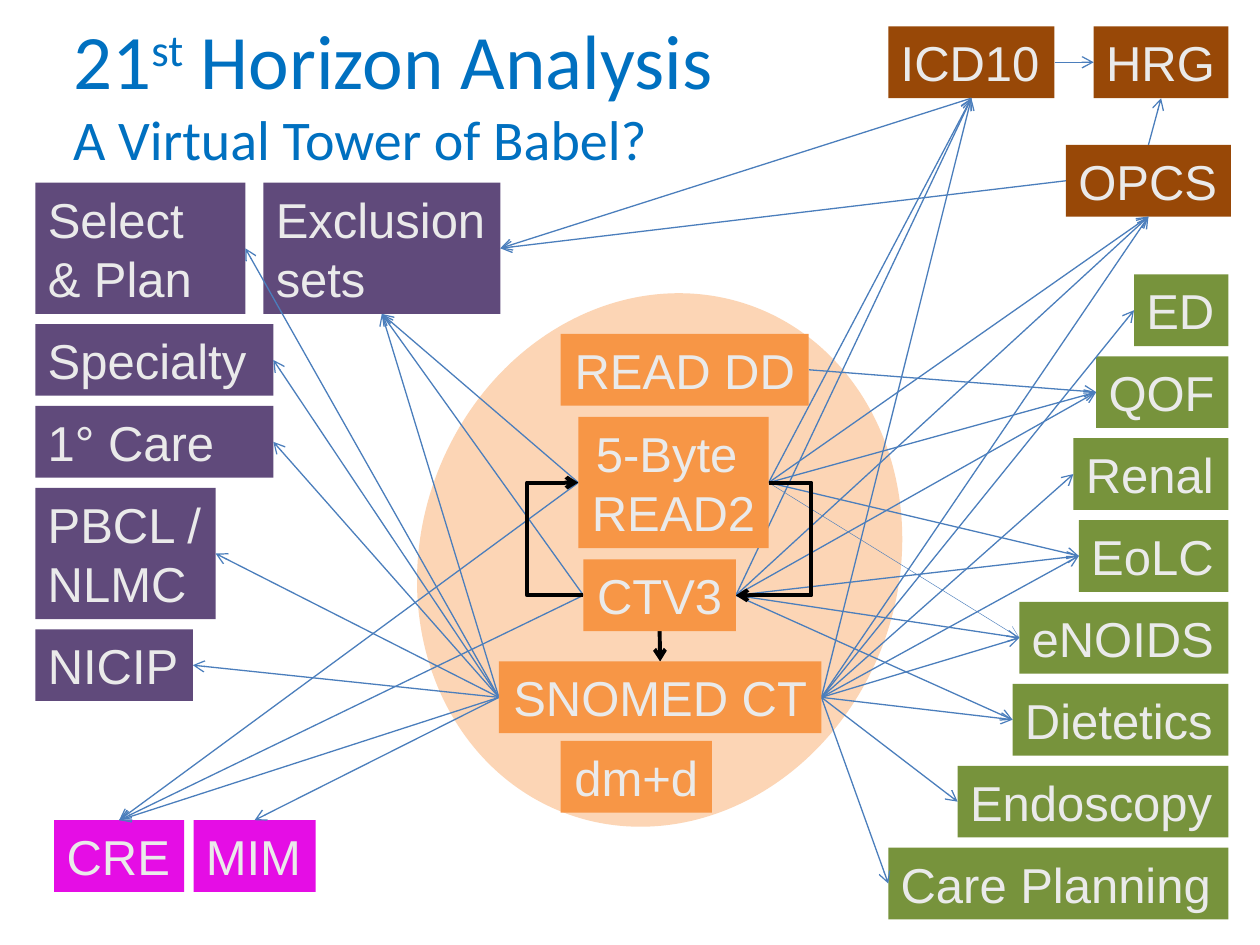
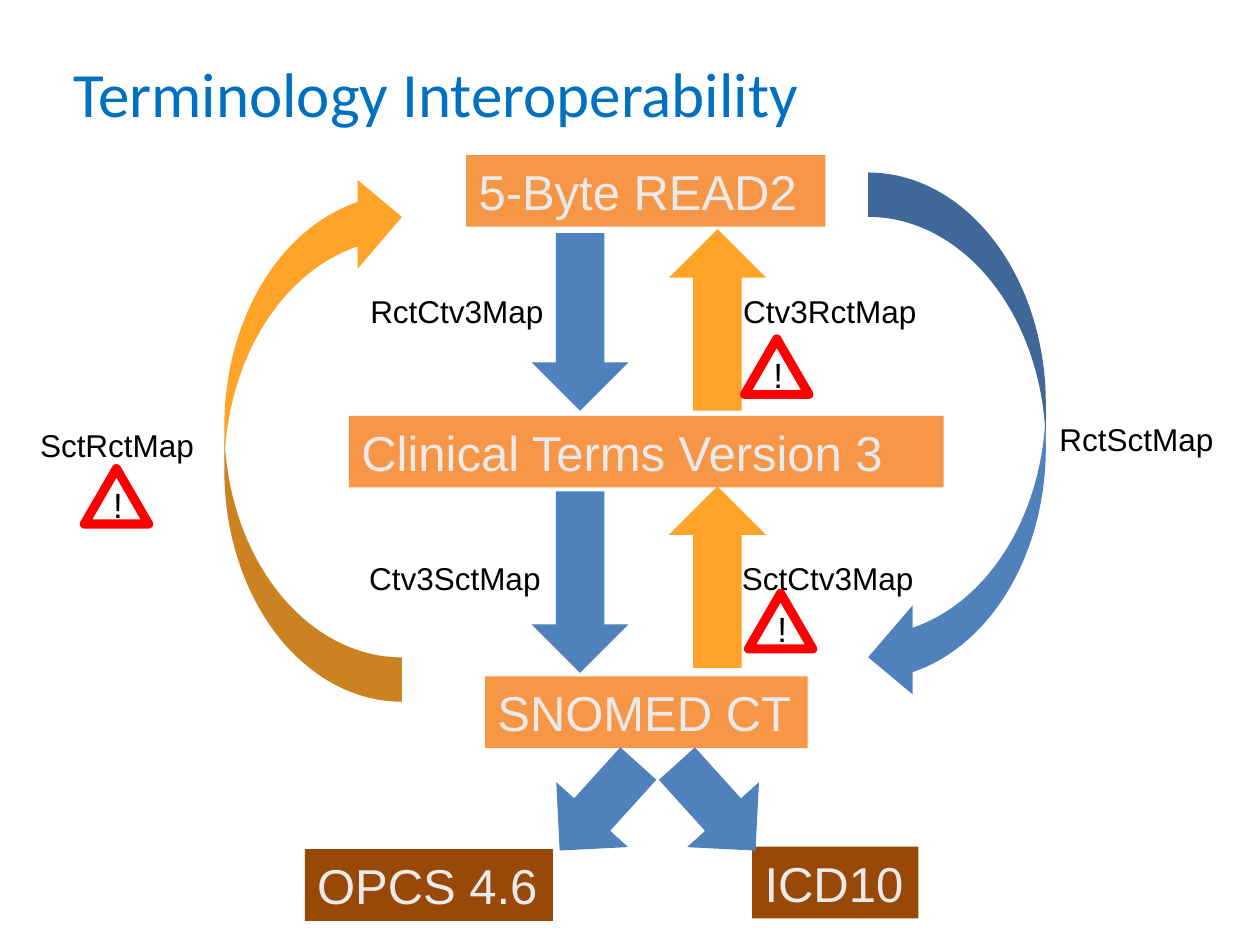
from collections import namedtuple

from lxml.etree import SubElement
from pptx import Presentation
from pptx.dml.color import RGBColor
from pptx.enum.shapes import MSO_CONNECTOR, MSO_SHAPE
from pptx.enum.text import MSO_ANCHOR, MSO_AUTO_SIZE, PP_ALIGN
from pptx.oxml.ns import qn
from pptx.util import Pt

BLUE = RGBColor(0x00, 0x70, 0xC0)
LINK = RGBColor(0x4B, 0x7E, 0xBC)
STEEL = RGBColor(0x4F, 0x81, 0xBD)
AMBER = RGBColor(0xFF, 0xA3, 0x29)
ORANGE = RGBColor(0xF7, 0x96, 0x46)
PEACH = RGBColor(0xFC, 0xD5, 0xB5)
BROWN = RGBColor(0x98, 0x48, 0x07)
PINK = RGBColor(0xE5, 0x0D, 0xE5)
PURPLE = RGBColor(0x60, 0x4A, 0x7B)
GREEN = RGBColor(0x77, 0x93, 0x3C)
PALE = RGBColor(0xEA, 0xEA, 0xEA)
BLACK = RGBColor(0, 0, 0)
WHITE = RGBColor(255, 255, 255)
RED = RGBColor(255, 0, 0)

TOP, LEFT, BOTTOM, RIGHT = range(4)
GAP = 5.8
ROW = 41
Box = namedtuple("Box", "x y w h")

LINKS = [
    ("SNOMED CT", RIGHT, LEFT, ["ED", "Renal", "EoLC", "eNOIDS", "Dietetics",
                                "Endoscopy", "Care Planning"]),
    ("SNOMED CT", RIGHT, BOTTOM, ["OPCS", "ICD10"]),
    ("SNOMED CT", LEFT, TOP, ["CRE", "MIM"]),
    ("SNOMED CT", LEFT, BOTTOM, ["Exclusion sets"]),
    ("SNOMED CT", LEFT, RIGHT, ["Select & Plan", "Specialty", "1° Care",
                                "PBCL / NLMC", "NICIP"]),
    ("5-Byte READ2", RIGHT, LEFT, ["QOF", "EoLC"]),
    ("5-Byte READ2", RIGHT, BOTTOM, ["OPCS", "ICD10"]),
    ("5-Byte READ2", LEFT, TOP, ["CRE"]),
    ("5-Byte READ2", LEFT, BOTTOM, ["Exclusion sets"]),
    ("CTV3", RIGHT, LEFT, ["QOF", "EoLC", "eNOIDS", "Dietetics"]),
    ("CTV3", RIGHT, BOTTOM, ["OPCS", "ICD10"]),
    ("CTV3", LEFT, TOP, ["CRE"]),
    ("CTV3", LEFT, BOTTOM, ["Exclusion sets"]),
    ("READ DD", RIGHT, LEFT, ["QOF"]),
    ("ICD10", RIGHT, LEFT, ["HRG"]),
    ("ICD10", BOTTOM, RIGHT, ["Exclusion sets"]),
    ("OPCS", LEFT, RIGHT, ["Exclusion sets"]),
    ("OPCS", TOP, BOTTOM, ["HRG"]),
]


def points(box):
    """Turn a box into lengths."""
    return [Pt(v) for v in box]


def style(run, size, color, face="Arial"):
    """Set the font of a run."""
    run.font.size = Pt(size)
    run.font.name = face
    run.font.color.rgb = color


def write(shape, text, size, color, align=PP_ALIGN.LEFT):
    """Write text that keeps its lines inside a shape."""
    frame = shape.text_frame
    frame.word_wrap = True
    frame.margin_right = Pt(0)
    if align == PP_ALIGN.CENTER:
        frame.margin_left = Pt(0)
    frame.text = text
    for para in frame.paragraphs:
        para.alignment = align
        for run in para.runs:
            style(run, size, color)


def note(slide, text, box, size):
    """Add plain black text."""
    write(slide.shapes.add_textbox(*points(box)), text, size, BLACK)


def draw(slide, kind, box, fill, turn=0):
    """Add a flat shape without an outline."""
    shape = slide.shapes.add_shape(kind, *points(box))
    shape.shadow.inherit = False
    shape.fill.solid()
    shape.fill.fore_color.rgb = fill
    shape.line.fill.background()
    shape.rotation = turn
    return shape


def label(slide, text, x, y, width, fill, align=PP_ALIGN.LEFT):
    """Add a filled label as tall as its lines."""
    tall = 34 * text.count("\n") + ROW
    shape = draw(slide, MSO_SHAPE.RECTANGLE, Box(x, y, width, tall), fill)
    write(shape, text, 28, PALE, align)
    return shape


def group(slide, box, fill, items, align=PP_ALIGN.LEFT):
    """Place labels at offsets in a box and return them by name."""
    return {" ".join(text.split()):
            label(slide, text, box.x + dx, box.y + dy, width, fill, align)
            for text, dx, dy, width in items}


def stack(slide, box, fill, items, flush=False):
    """Stack labels down a box, flush right if asked."""
    rows, dy = [], 0
    for text, width in items:
        rows.append((text, box.w - width if flush else 0, dy, width))
        dy += 34 * text.count("\n") + ROW + GAP
    return group(slide, box, fill, rows)


def heading(slide):
    """Format the title placeholder and return its paragraph."""
    title = slide.shapes.title
    title.left, title.top, title.width, title.height = points(
        Box(34.6, 18.7, 612, 67.7))
    frame = title.text_frame
    frame.auto_size = MSO_AUTO_SIZE.NONE
    frame.vertical_anchor = MSO_ANCHOR.MIDDLE
    frame.paragraphs[0].alignment = PP_ALIGN.LEFT
    return frame.paragraphs[0]


def add(para, text, size):
    """Add a title run."""
    run = para.add_run()
    run.text = text
    style(run, size, BLUE, "Calibri")
    return run


def link(slide, start, side, end, goal, color=LINK, width=0.75, reach=None):
    """Join two labels by an arrow, bent out to x = reach if given."""
    kind = MSO_CONNECTOR.STRAIGHT if reach is None else MSO_CONNECTOR.ELBOW
    line = slide.shapes.add_connector(kind, *points((0, 0, 0, 0)))
    line.begin_connect(start, side)
    line.end_connect(end, goal)
    line.line.color.rgb = color
    line.line.width = Pt(width)
    props = line.element.spPr
    SubElement(props.find(qn("a:ln")), qn("a:tailEnd"), type="arrow")
    SubElement(props, qn("a:effectLst"))
    if reach is not None:
        ratio = (Pt(reach) - line.begin_x) / (line.end_x - line.begin_x)
        geom = props.find(qn("a:prstGeom"))
        guides = geom.find(qn("a:avLst"))
        if guides is None:
            guides = SubElement(geom, qn("a:avLst"))
        SubElement(guides, qn("a:gd"), name="adj1",
                   fmla=f"val {round(ratio * 100000)}")


def core(slide, box):
    """Draw the oval and the terminology labels on it."""
    draw(slide, MSO_SHAPE.OVAL, box, PEACH, 19.9)
    return group(slide, box, ORANGE, [
        ("READ DD", 79.9, 25.2, 141.8),
        ("5-Byte \nREAD2", 90, 72.7, 108.7),
        ("CTV3", 92.9, 154.1, 87.1),
        ("SNOMED CT", 44.6, 212.4, 184.3),
        ("dm+d", 79.9, 257.8, 86.4)], PP_ALIGN.CENTER)


def babel(slide):
    """Build the slide of linked code sets."""
    para = heading(slide)
    add(para, "21", 44)
    raised = add(para, "st", 44)
    raised._r.get_or_add_rPr().set("baseline", "30000")
    add(para, " Horizon Analysis", 44)
    para.add_line_break()
    add(para, "A Virtual Tower of Babel?", 32)

    heart = core(slide, Box(240.5, 165.6, 272.9, 308.8))
    nodes = dict(heart)
    nodes.update(group(slide, Box(507.6, 15.1, 196, 109), BROWN, [
        ("ICD10", 0, 0, 95), ("HRG", 117.4, 0, 77),
        ("OPCS", 101.5, 67.7, 94.3)]))
    nodes.update(group(slide, Box(31, 468.7, 150, ROW), PINK, [
        ("CRE", 0, 0, 74.2), ("MIM", 79.6, 0, 69.8)]))
    nodes.update(group(slide, Box(150.5, 104.4, 135.4, 75), PURPLE, [
        ("Exclusion\nsets", 0, 0, 135.4)]))
    nodes.update(stack(slide, Box(20.2, 104.4, 136, 296), PURPLE, [
        ("Select\n& Plan", 120), ("Specialty", 136), ("1° Care", 136),
        ("PBCL /\nNLMC", 103), ("NICIP", 90)]))
    nodes.update(stack(slide, Box(507.6, 156.8, 194.4, 368), GREEN, [
        ("ED", 54), ("QOF", 75.6), ("Renal", 88.6), ("EoLC", 85.5),
        ("eNOIDS", 119.5), ("Dietetics", 123.4), ("Endoscopy", 154.8),
        ("Care Planning", 194.4)], True))

    for name, side, goal, ends in LINKS:
        for end in ends:
            link(slide, nodes[name], side, nodes[end], goal)
    read, third = nodes["5-Byte READ2"], nodes["CTV3"]
    link(slide, read, RIGHT, nodes["eNOIDS"], LEFT, width=0.25)
    link(slide, read, RIGHT, third, RIGHT, BLACK, 2.25, 463.7)
    link(slide, third, LEFT, read, LEFT, BLACK, 2.25, 301)
    link(slide, third, BOTTOM, nodes["SNOMED CT"], TOP, BLACK, 2.25)
    for shape in heart.values():
        slide.shapes.element.append(shape.element)


def warn(slide, x, y):
    """Draw a warning sign."""
    sign = draw(slide, MSO_SHAPE.ISOSCELES_TRIANGLE,
                Box(x, y, 36.7, 31.7), WHITE)
    sign.line.color.rgb = RED
    sign.line.width = Pt(5.25)
    SubElement(sign.element.spPr.find(qn("a:ln")), qn("a:round"))
    note(slide, "!", Box(x + 9.4, y + 4.7, 21.6, 31.7), 20)


def flow(slide, kind, box, fill, name, shift, alert=None, turn=0):
    """Draw a map arrow with its name and an optional warning."""
    draw(slide, kind, box, fill, turn)
    note(slide, name, Box(box.x + shift[0], box.y + shift[1], 120, 28.8), 18)
    if alert:
        warn(slide, box.x + alert[0], box.y + alert[1])


def interop(slide):
    """Build the slide of maps between terminologies."""
    add(heading(slide), "Terminology Interoperability", 36)
    group(slide, Box(199.4, 88.6, 340, 340), ORANGE, [
        ("5-Byte READ2", 67, 0, 205.2),
        ("Clinical Terms Version 3", 0, 149, 339.8),
        ("SNOMED CT", 77.8, 298, 184.3)])
    curve, down, up = (MSO_SHAPE.CURVED_LEFT_ARROW, MSO_SHAPE.DOWN_ARROW,
                       MSO_SHAPE.UP_ARROW)
    flow(slide, curve, Box(496.1, 98.6, 101.5, 302.4), STEEL,
         "RctSctMap", (102.2, 137.6))
    flow(slide, curve, Box(128.2, 98.6, 101.5, 302.4), AMBER,
         "SctRctMap", (-112.4, 141.2), (-80, 169.2), 180)
    flow(slide, down, Box(303.8, 133.2, 55.4, 101.5), STEEL,
         "RctCtv3Map", (-99.3, 30.2))
    flow(slide, down, Box(303.8, 280.8, 55.4, 103.7), STEEL,
         "Ctv3SctMap", (-100, 35.3))
    flow(slide, up, Box(382.3, 277.9, 55.4, 103.7), AMBER,
         "SctCtv3Map", (34.6, 38.2), (45.4, 61.2))
    flow(slide, up, Box(382.3, 131, 55.4, 103.7), AMBER,
         "Ctv3RctMap", (35.3, 32.4), (43.2, 62.7))
    group(slide, Box(174.2, 483.8, 351, 43), BROWN, [
        ("OPCS 4.6", 0, 1.5, 141.8), ("ICD10", 255.6, 0, 95)])
    for x, turn in ((314.6, 42.1), (381.6, -42.1)):
        draw(slide, down, Box(x, 427.7, 55.4, 67), STEEL, turn)


def main():
    """Build and save the slides."""
    deck = Presentation()
    deck.slide_width, deck.slide_height = Pt(720), Pt(540)
    for build in (babel, interop):
        build(deck.slides.add_slide(deck.slide_layouts[5]))
    deck.save("out.pptx")


if __name__ == "__main__":
    main()
